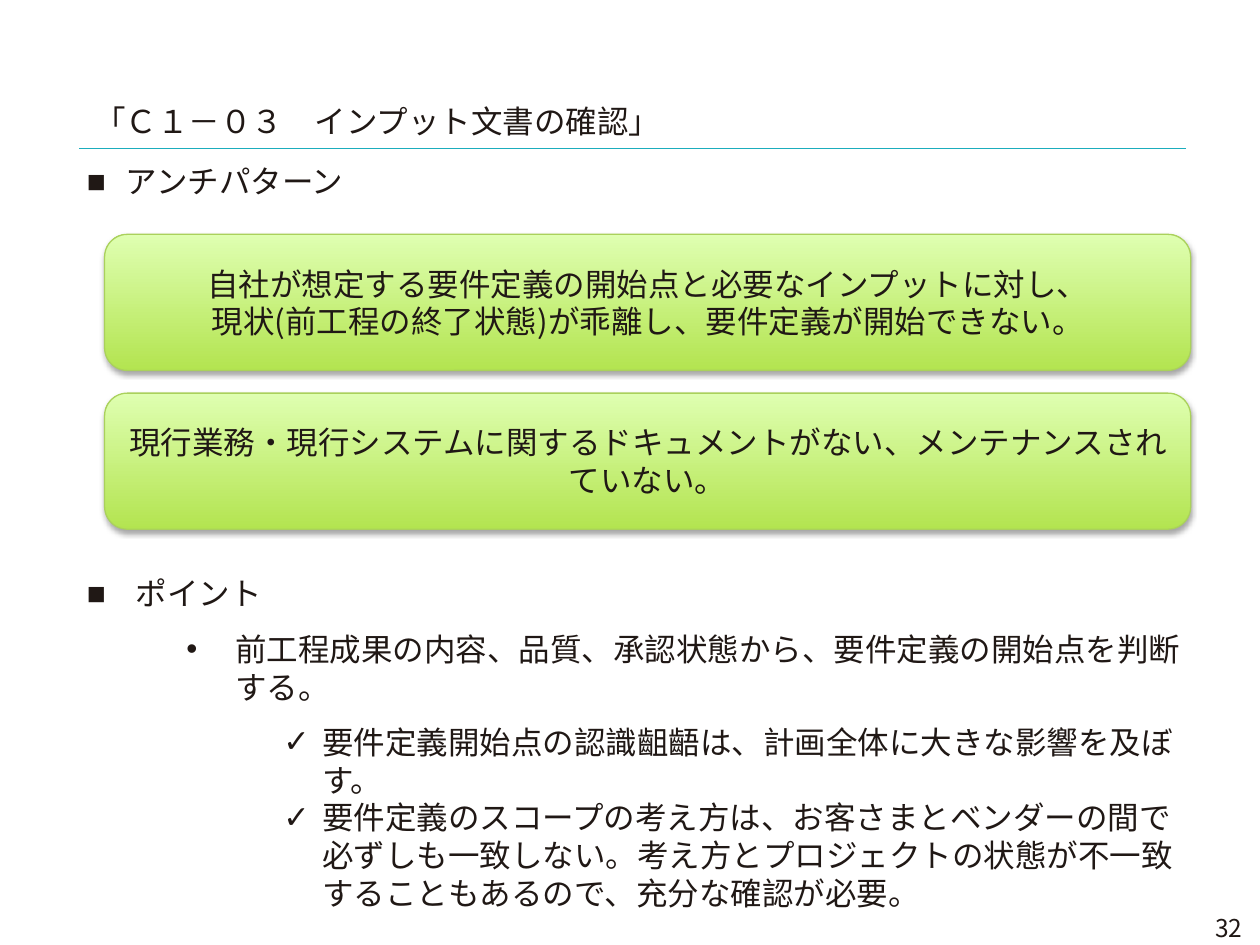
from lxml import etree
from pptx import Presentation
from pptx.dml.color import RGBColor
from pptx.enum.shapes import MSO_CONNECTOR, MSO_SHAPE
from pptx.enum.text import MSO_ANCHOR, PP_ALIGN
from pptx.oxml import parse_xml
from pptx.oxml.ns import qn
from pptx.util import Inches, Pt

LEFT, MID, RIGHT = PP_ALIGN.LEFT, PP_ALIGN.CENTER, PP_ALIGN.RIGHT
TOP, CENTER = MSO_ANCHOR.TOP, MSO_ANCHOR.MIDDLE
ROUND, STRAIGHT = MSO_SHAPE.ROUNDED_RECTANGLE, MSO_CONNECTOR.STRAIGHT
FONT = "Noto Sans CJK JP"
HUES = {"ink": "201815", "rule": "1BADBD", "edge": "AAD15C",
        "low": "B3E450", "high": "DFFFB1", "shade": "000000"}
INK = RGBColor.from_string(HUES["ink"])
SHADE = (
    '<a:effectLst xmlns:a="http://schemas.openxmlformats.org/drawingml/2006/main">'
    f'<a:outerShdw blurRad="{Pt(3.1)}" dist="{Pt(1.8)}" dir="5400000" rotWithShape="0">'
    f'<a:srgbClr val="{HUES["shade"]}"><a:alpha val="35000"/></a:srgbClr>'
    '</a:outerShdw></a:effectLst>'
)

deck = Presentation()
deck.slide_width, deck.slide_height = Inches(10), Inches(7.5)
slide = deck.slides.add_slide(deck.slide_layouts[6])
shapes = slide.shapes


def write(shape, lines, size=18, align=LEFT, anchor=TOP):
    frame = shape.text_frame
    frame.word_wrap = True
    frame.vertical_anchor = anchor
    for i, (text, mark, left, hang, gap) in enumerate(lines):
        para = frame.paragraphs[0] if i == 0 else frame.add_paragraph()
        para.text = text
        para.alignment = align
        para.space_before = Pt(gap)
        for run in para.runs:
            form = {"size": Pt(size), "name": FONT}
            for key, value in form.items():
                setattr(run.font, key, value)
            run.font.color.rgb = INK
            etree.SubElement(run.font._element, qn("a:ea"), typeface=FONT)
        if mark:
            props = para._p.get_or_add_pPr()
            props.set("marL", str(Inches(left)))
            props.set("indent", str(-Inches(hang)))
            etree.SubElement(props, qn("a:buFont"), typeface="Arial")
            etree.SubElement(props, qn("a:buChar"), char=mark)


def plain(*texts):
    return [(text, "", 0, 0, 0) for text in texts]


rule = shapes.add_connector(STRAIGHT, *map(Inches, (0.63, 1.18, 9.41, 1.18)))
rule.line.color.rgb = RGBColor.from_string(HUES["rule"])
rule.line.width = Pt(0.25)
etree.SubElement(rule._element.spPr, qn("a:effectLst"))

texts = [
    ((8.57, 7.2, 1.39, 0.31), plain("32"), 14, RIGHT),
    ((0.65, 0.76, 6.38, 0.39), plain("「Ｃ１－０３　インプット文書の確認」"), 18, LEFT),
    ((0.59, 1.24, 8.98, 0.4), [("アンチパターン", "■", 0.31, 0.31, 0)], 18, LEFT),
    ((0.59, 4.51, 8.98, 2.19), [
        ("ポイント", "■", 0.39, 0.39, 0),
        ("前工程成果の内容、品質、承認状態から、要件定義の開始点を判断する。", "•", 1.18, 0.39, 10),
        ("要件定義開始点の認識齟齬は、計画全体に大きな影響を及ぼす。", "✓", 1.87, 0.31, 10),
        ("要件定義のスコープの考え方は、お客さまとベンダーの間で\v"
         "必ずしも一致しない。考え方とプロジェクトの状態が不一致することもあるので、充分な確認が必要。",
         "✓", 1.87, 0.31, 0),
    ], 18, LEFT),
]
for place, lines, size, align in texts:
    write(shapes.add_textbox(*map(Inches, place)), lines, size, align)

cards = [
    plain("自社が想定する要件定義の開始点と必要なインプットに対し、",
          "現状(前工程の終了状態)が乖離し、要件定義が開始できない。"),
    plain("現行業務・現行システムに関するドキュメントがない、メンテナンスされていない。"),
]
for row, lines in enumerate(cards):
    card = shapes.add_shape(ROUND, *map(Inches, (0.83, 1.86 + row * 1.26, 8.62, 1.08)))
    card.fill.gradient()
    card.fill.gradient_angle = 90
    for stop, hue, spot in zip(card.fill.gradient_stops, ("low", "high"), (0, 1)):
        stop.color.rgb = RGBColor.from_string(HUES[hue])
        stop.position = spot
    card.line.color.rgb = RGBColor.from_string(HUES["edge"])
    card.line.width = Pt(0.75)
    card._element.spPr.append(parse_xml(SHADE))
    write(card, lines, 18, MID, CENTER)

deck.save("out.pptx")
